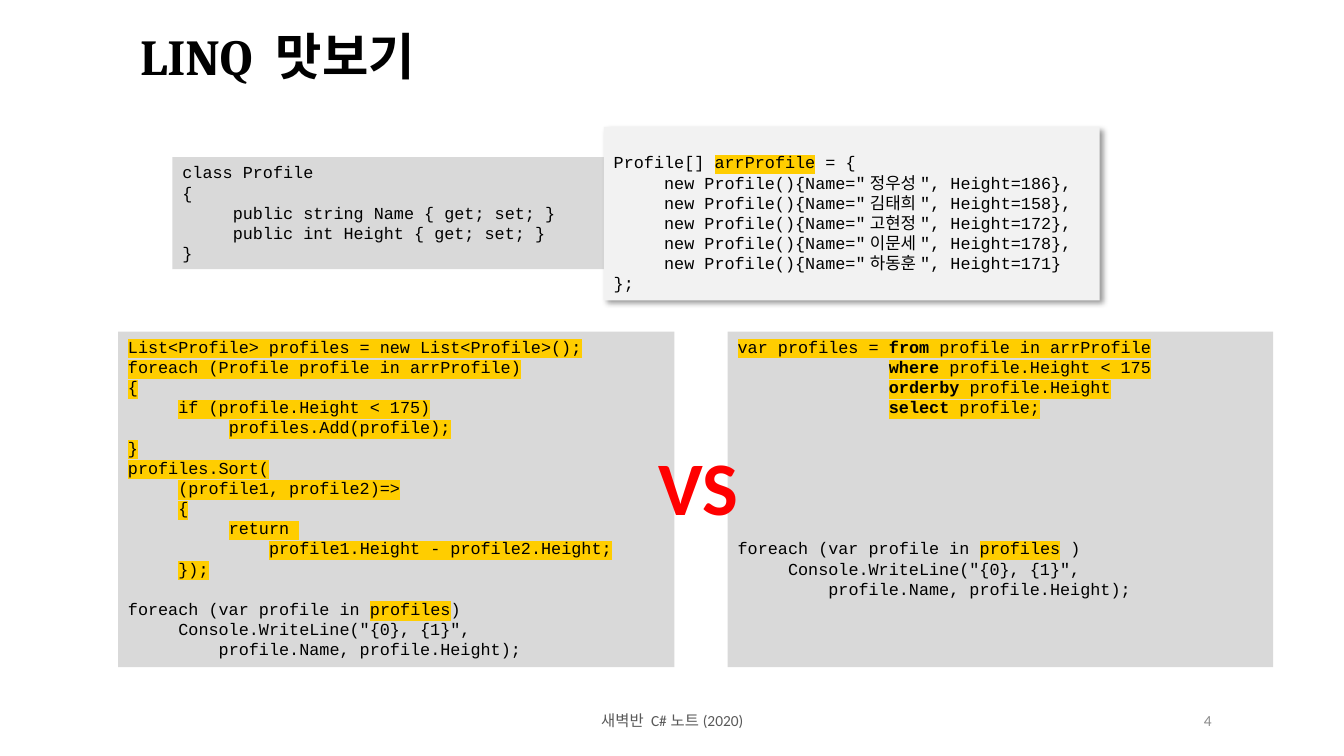
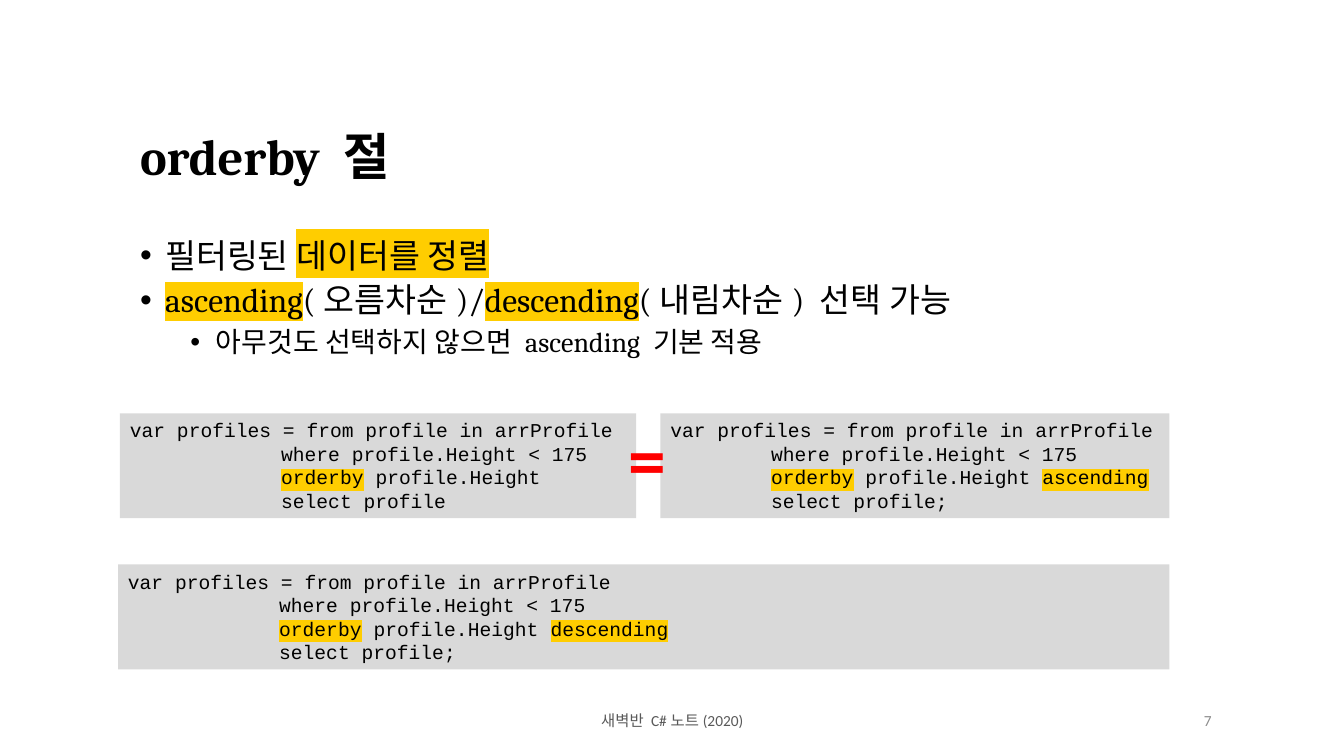
"""Build two lecture slides about LINQ queries in C#."""
from lxml import etree
from pptx import Presentation
from pptx.dml.color import RGBColor
from pptx.enum.shapes import MSO_SHAPE
from pptx.enum.text import MSO_ANCHOR, PP_ALIGN
from pptx.oxml.ns import qn
from pptx.util import Inches, Pt

RECT = MSO_SHAPE.RECTANGLE
TOP, MIDDLE = MSO_ANCHOR.TOP, MSO_ANCHOR.MIDDLE
LEFT, CENTER, RIGHT = PP_ALIGN.LEFT, PP_ALIGN.CENTER, PP_ALIGN.RIGHT
WIDTH, HEIGHT = Inches(13.33), Inches(7.5)
BLACK, RED, MARK = "000000", "FF0000", "FFCD00"
PANEL, PALE, EDGE = "D9D9D9", "F2F2F2", "FEFEFE"
FOOTER, NUMBER = "595959", "8C8C8C"
TITLE_FONT, BODY_FONT, CODE_FONT = "Cambria", "Calibri", "Courier New"
MARK_SIGN, BOLD_SIGN = "|", "~"


def rgb(value):
    """Turn a hex string into a colour."""
    return RGBColor.from_string(value)


def place(left, top, width, height):
    """Turn percentages of the slide into lengths."""
    return [int(share * side / 100) for share, side in
            zip((left, top, width, height), (WIDTH, HEIGHT) * 2)]


def add_xml(parent, tag, **attrs):
    """Append a drawing element and return it."""
    return etree.SubElement(parent, qn(tag), attrs)


def add_color(parent, value):
    """Append a colour element and return it."""
    return add_xml(parent, "a:srgbClr", val=value)


def set_font(p, name, size, color, bold=False):
    """Set the font of a paragraph."""
    font = p.font
    font.name, font.size, font.bold = name, Pt(size), bold
    font.color.rgb = rgb(color)


def add_runs(p, text):
    """Add runs; | switches the highlight and ~ switches bold."""
    for i, part in enumerate(text.split(MARK_SIGN)):
        for j, piece in enumerate(part.split(BOLD_SIGN)):
            if not piece:
                continue
            r = p.add_run()
            r.text = piece
            if j % 2:
                r.font.bold = True
            if i % 2:
                add_color(add_xml(r.font._element, "a:highlight"), MARK)


def set_indent(p, left, first=0, bullet=None):
    """Set the indents in inches and the bullet of a paragraph."""
    pPr = p._p.get_or_add_pPr()
    pPr.set("marL", str(Inches(left)))
    pPr.set("indent", str(Inches(first)))
    if bullet:
        for tag, attrs in (("a:buFont", {"typeface": "Arial"}),
                           ("a:buChar", {"char": bullet})):
            mark = etree.Element(qn(tag), attrs)
            pPr.insert_element_before(mark, "a:tabLst", "a:defRPr", "a:extLst")


def next_paragraph(tf, index):
    """Return the first paragraph or a new one."""
    return tf.add_paragraph() if index else tf.paragraphs[0]


def add_label(s, box, text, font, align=CENTER, anchor=MIDDLE, wrap=True):
    """Add a one-line text box and return its run."""
    tf = s.shapes.add_textbox(*place(*box)).text_frame
    tf.word_wrap, tf.vertical_anchor = wrap, anchor
    p = tf.paragraphs[0]
    p.alignment = align
    set_font(p, *font)
    r = p.add_run()
    r.text = text
    return r


def add_sign(s, box, text):
    """Add a large red sign between two panels."""
    return add_label(s, box, text, (BODY_FONT, 54, RED, True),
                     anchor=TOP, wrap=False)


def add_outline(r, color, width):
    """Outline the letters of a run."""
    ln = etree.Element(qn("a:ln"), {"w": str(Pt(width))})
    add_color(add_xml(ln, "a:solidFill"), color)
    r.font._element.insert(0, ln)


def add_heading(s, top, title, bullets=()):
    """Add the title and the (level, text) bullets below it."""
    tf = s.shapes.add_textbox(*place(9.68, top, 78.6, 40.93)).text_frame
    tf.word_wrap = True
    tf.margin_left = tf.margin_right = Inches(0.1)
    tf.margin_top = tf.margin_bottom = Inches(0.1)
    for i, (level, text) in enumerate([(0, title), *bullets]):
        p = next_paragraph(tf, i)
        p.line_spacing = 0.9
        p.space_before = Pt(37.5 if i == 1 else 6)
        if i:
            set_font(p, TITLE_FONT, 24 - 4 * level, BLACK)
            set_indent(p, 0.25 + 0.5 * level, -0.25, "•")
        else:
            set_font(p, TITLE_FONT, 36, BLACK, True)
        add_runs(p, text)


def add_code(s, box, lines, size=12, fill=PANEL, inset=0.05):
    """Add a panel of (indent, text, blank lines before) code lines."""
    sp = s.shapes.add_shape(RECT, *place(*box))
    sp.shadow.inherit = False
    sp.fill.solid()
    sp.fill.fore_color.rgb = rgb(fill)
    sp.line.fill.background()
    tf = sp.text_frame
    tf.word_wrap, tf.vertical_anchor = True, TOP
    tf.margin_top = Inches(inset)
    pitch = 1.2 * size
    for i, (indent, text, *gap) in enumerate(lines):
        p = next_paragraph(tf, i)
        p.alignment, p.line_spacing = LEFT, Pt(pitch)
        if gap:
            p.space_before = Pt(pitch * gap[0])
        set_font(p, CODE_FONT, size, BLACK)
        set_indent(p, indent)
        add_runs(p, text)
    return sp


def add_shadow(sp):
    """Give a shape a soft shadow to the lower right."""
    effects = sp._element.spPr.find(qn("a:effectLst"))
    shadow = add_xml(effects, "a:outerShdw", blurRad=str(Pt(4)),
                     dist=str(Pt(3)), dir="2700000", algn="tl",
                     rotWithShape="0")
    add_xml(add_color(shadow, BLACK), "a:alpha", val="40000")


def add_slide(prs, number):
    """Add a blank slide with the footer and its number."""
    s = prs.slides.add_slide(prs.slide_layouts[6])
    add_label(s, (33.15, 92.67, 33.75, 5.33), "새벽반 C#노트(2020)",
              (BODY_FONT, 11, FOOTER))
    add_label(s, (70.65, 92.67, 20.25, 5.33), str(number),
              (BODY_FONT, 11, NUMBER), RIGHT)
    return s


def printing(target, gap):
    """Return the code lines that print the profiles."""
    return [(0, f"foreach (var profile in {target})", gap),
            (0.5, 'Console.WriteLine("{0}, {1}", '),
            (0.9, "profile.Name, profile.Height);")]


def query(indent, order, end=";"):
    """Return the code lines of a sorted query."""
    return [(0, "var profiles = from profile in arrProfile"),
            (indent, "where profile.Height < 175"),
            (indent, f"|orderby| profile.Height{order}"),
            (indent, f"select profile{end}")]


def build_taste(prs):
    """Build the slide that compares a loop with a query."""
    s = add_slide(prs, 4)
    add_heading(s, 2.93, "LINQ 맛보기")
    loop = [(0, "List<Profile> profiles = new List<Profile>();"),
            (0, "foreach (Profile profile in arrProfile)"),
            (0, "{"),
            (0.5, "if (profile.Height < 175)"),
            (1, "profiles.Add(profile);"),
            (0, "}"),
            (0, "profiles.Sort("),
            (0.5, "(profile1, profile2)=>"),
            (0.5, "{"),
            (1, "return "),
            (1.4, "profile1.Height - profile2.Height;"),
            (0.5, "});")]
    linq = [(0, "var profiles = ~from~ profile in arrProfile"),
            (1.5, "~where~ profile.Height < 175"),
            (1.5, "~orderby~ profile.Height"),
            (1.5, "~select~ profile;")]
    for left, width, lines, target, gap in (
            (8.78, 41.4, loop, "|profiles|", 1),
            (54.15, 40.58, linq, "|profiles| ", 6)):
        marked = [(indent, f"|{text}|") for indent, text in lines]
        add_code(s, (left, 43.87, width, 44.4),
                 marked + printing(target, gap))
    add_code(s, (12.83, 20.8, 50.03, 14.8), [
        (0, "class Profile"),
        (0, "{"),
        (0.5, "public string Name { get; set; }"),
        (0.5, "public int Height { get; set; }"),
        (0, "}")])
    people = (("정우성", "186},"), ("김태희", "158},"), ("고현정", "172},"),
              ("이문세", "178},"), ("하동훈", "171}"))
    array = [(0.5, f'new Profile(){{Name="{name}", Height={end}')
             for name, end in people]
    add_shadow(add_code(
        s, (44.93, 16.8, 36.9, 22.93),
        [(0, "Profile[] |arrProfile| = {"), *array, (0, "};")],
        fill=PALE, inset=0.25))
    add_sign(s, (48.23, 57.6, 7.5, 13.47), "VS")


def build_orderby(prs):
    """Build the slide about the orderby clause."""
    s = add_slide(prs, 7)
    add_heading(s, 16.13, "orderby 절", [
        (0, "필터링된 |데이터를 정렬|"),
        (0, "|ascending|(오름차순)/|descending|(내림차순) 선택 가능"),
        (1, "아무것도 선택하지 않으면 ascending 기본 적용")])
    for left, top, width, lines in (
            (8.78, 74.67, 78.23, query(1.5, " |descending|")),
            (8.93, 54.67, 38.4, query(1.5, "", "")),
            (49.13, 54.67, 37.88, query(1, " |ascending|"))):
        add_code(s, (left, top, width, 13.87), lines, 14)
    equals = add_sign(s, (45.98, 53.87, 4.35, 13.47), "=")
    add_outline(equals, EDGE, 1.5)


def main():
    """Build and save the presentation."""
    prs = Presentation()
    prs.slide_width, prs.slide_height = WIDTH, HEIGHT
    build_taste(prs)
    build_orderby(prs)
    prs.save("out.pptx")


main()
